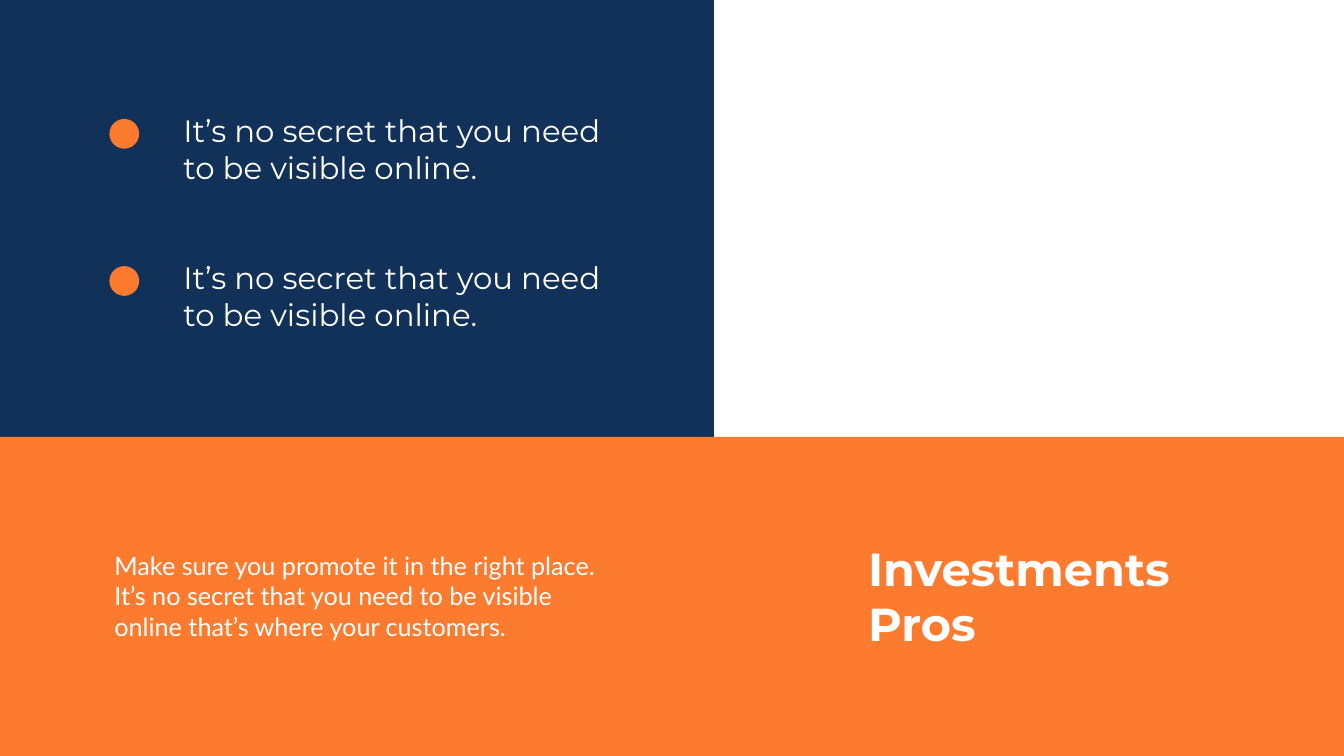
from dataclasses import dataclass
from pptx import Presentation
from pptx.dml.color import RGBColor as Rgb
from pptx.enum.shapes import MSO_SHAPE as Kind
from pptx.util import Inches, Pt


@dataclass(frozen=True)
class Theme:
    """Hold the colours, fonts and type sizes."""
    navy: str = "123158"
    orange: str = "FD7B2F"
    white: str = "FFFFFF"
    head: str = "Montserrat"
    body: str = "Lato"
    title: int = 66
    point: int = 44
    note: int = 36


THEME = Theme()
WIDE, HIGH = 26.66, 15
SPLIT, EDGE = 8.67, 14.16
POINTS = ["It’s no secret that you need to be visible online."] * 2
NOTE = ("Make sure you promote it in the right place. It’s no secret that "
        "you need to be visible online that’s where your customers.")


def add_form(slide, kind, box, fill):
    """Draw a plain filled shape."""
    form = slide.shapes.add_shape(kind, *map(Inches, box))
    form.shadow.inherit = False
    form.fill.solid()
    form.fill.fore_color.rgb = Rgb.from_string(fill)
    form.line.fill.background()


def add_text(slide, text, box, size, font=THEME.head, bold=False,
             color=THEME.white):
    """Place wrapped text in a box."""
    frame = slide.shapes.add_textbox(*map(Inches, box)).text_frame
    frame.word_wrap = True
    run = frame.paragraphs[0].add_run()
    run.text = text
    run.font.size = Pt(size)
    run.font.name = font
    run.font.bold = bold
    run.font.color.rgb = Rgb.from_string(color)


def add_points(slide, box, points):
    """Build the navy panel with its dotted points."""
    left, top, _, _ = box
    add_form(slide, Kind.RECTANGLE, box, THEME.navy)
    for row, text in enumerate(points):
        y = top + 2.16 + row * 2.92
        add_form(slide, Kind.OVAL, (left + 2.17, y + 0.2, 0.59, 0.59),
                 THEME.orange)
        add_text(slide, text, (left + 3.54, y, 8.96, 1.58), THEME.point)


def add_band(slide, box, title, note):
    """Build the orange band with its note and title."""
    left, top, _, _ = box
    add_form(slide, Kind.RECTANGLE, box, THEME.orange)
    add_text(slide, note, (left + 2.17, top + 2.2, 9.82, 1.92), THEME.note,
             font=THEME.body)
    add_text(slide, title, (left + 17.12, top + 2, 6.59, 2.32), THEME.title,
             bold=True)


def main():
    """Build and save the slide."""
    deck = Presentation()
    deck.slide_width, deck.slide_height = Inches(WIDE), Inches(HIGH)
    slide = deck.slides.add_slide(deck.slide_layouts[6])
    add_points(slide, (0, 0, EDGE, SPLIT), POINTS)
    add_band(slide, (0, SPLIT, WIDE, HIGH - SPLIT), "Investments Pros", NOTE)
    deck.save("out.pptx")


main()
